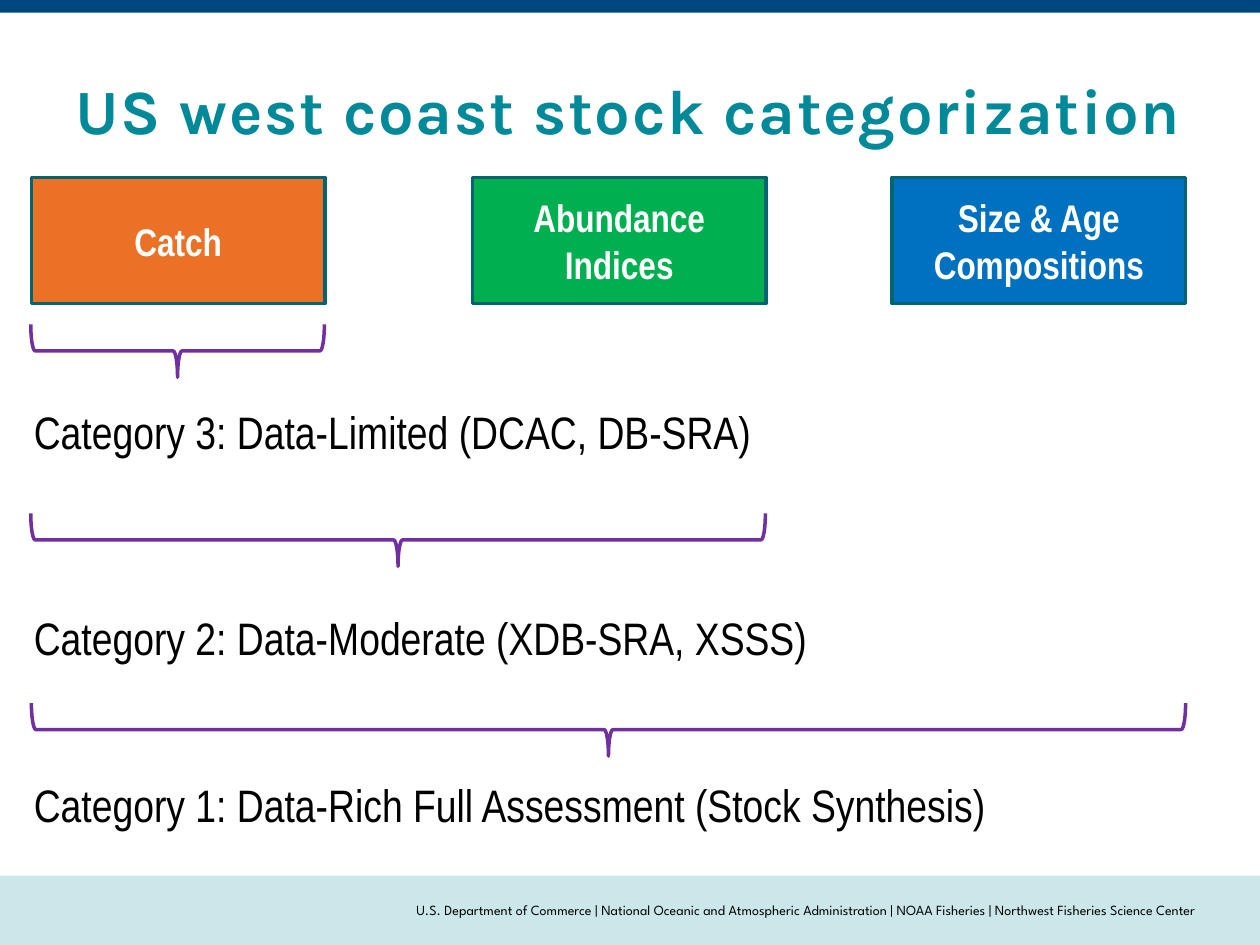
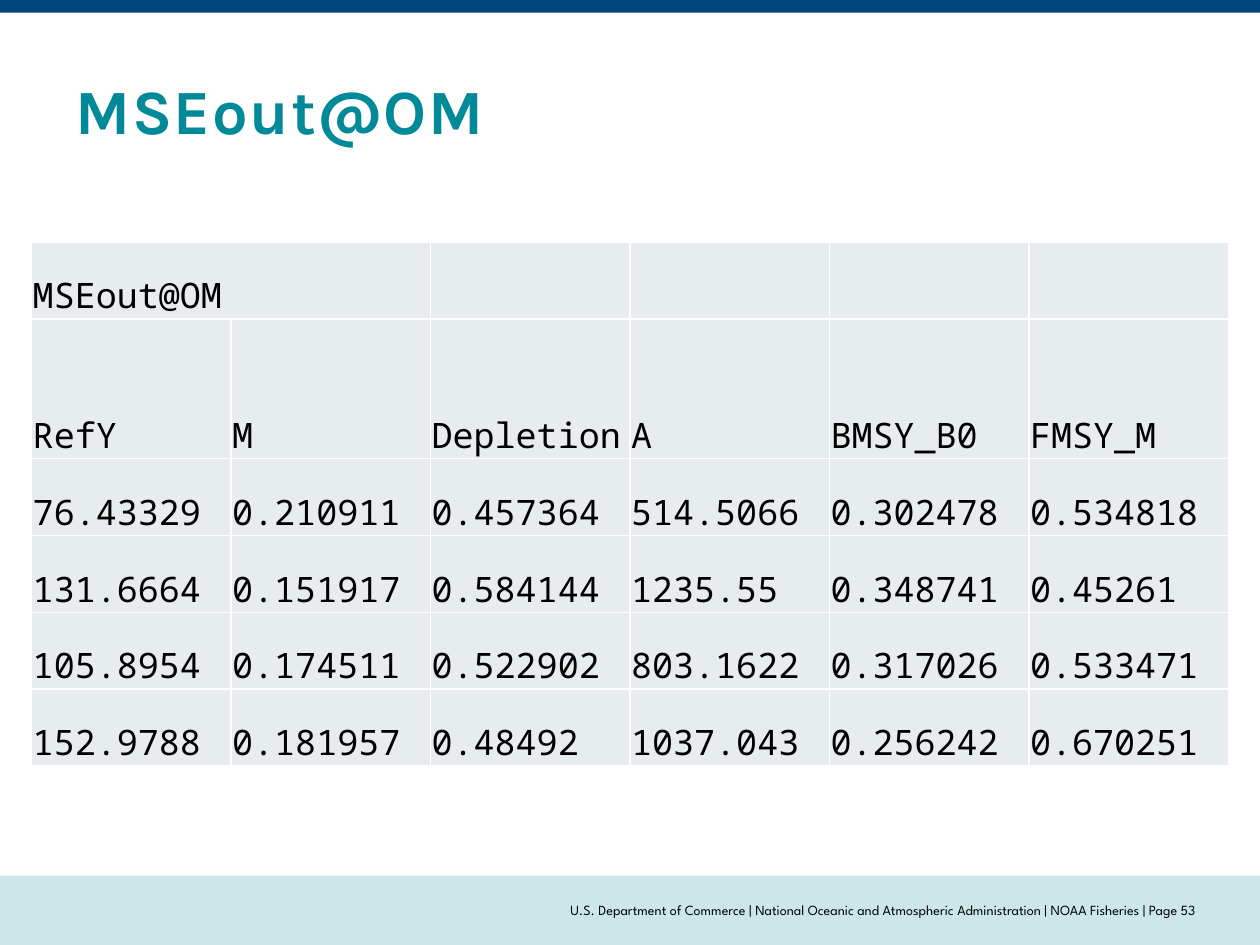
from lxml import etree
from pptx import Presentation
from pptx import util as u
from pptx.dml.color import RGBColor
from pptx.enum import shapes, text
from pptx.oxml import ns

PX = 9144  # EMU per px, 100 px to the inch
W, H = 1000, 750
MARGIN = 25
COLORS = {
    "band": "CCE7EA", "top": "00467F", "title": "008998", "text": "000000",
    "white": "FFFFFF", "outline": "006570", "brace": "7030A0", "cell": "E7EDEF",
    "catch": "EA7125", "indices": "00B050", "compositions": "0070C0",
}
TITLE_FONT, FOOTER_FONT = "Karla", "League Spartan"
BODY_FONT, CODE_FONT = "Arial Narrow", "Noto Sans Mono"
AGENCY = ["U.S. Department of Commerce",
          "National Oceanic and Atmospheric Administration", "NOAA Fisheries"]

BOX_TOP, BOX_W, BOX_H = 141, 233, 100
DATA_BOXES = [(25, "catch", "Catch"), (375, "indices", "Abundance Indices"),
              (708, "compositions", "Size & Age Compositions")]
BRACE_TOP, BRACE_STEP, BRACE_H = 258, 150, 42
CATEGORIES = [(316, "Category 3: Data-Limited (DCAC, DB-SRA)"),
              (479, "Category 2: Data-Moderate (XDB-SRA, XSSS)"),
              (612, "Category 1: Data-Rich Full Assessment (Stock Synthesis)")]

OM_ROWS = [
    ["MSEout@OM", "", "", "", "", ""],
    ["RefY", "M", "Depletion", "A", "BMSY_B0", "FMSY_M"],
    ["76.43329", "0.210911", "0.457364", "514.5066", "0.302478", "0.534818"],
    ["131.6664", "0.151917", "0.584144", "1235.55", "0.348741", "0.45261"],
    ["105.8954", "0.174511", "0.522902", "803.1622", "0.317026", "0.533471"],
    ["152.9788", "0.181957", "0.48492", "1037.043", "0.256242", "0.670251"],
]
ROW_HEIGHTS = [61, 111, 61, 61, 61, 61]


def px(*lengths):
    return [u.Emu(n * PX) for n in lengths]


def rgb(name):
    return RGBColor.from_string(COLORS[name])


def add_run(tf, words, font, size, color="text", bold=False, align=None):
    p = tf.paragraphs[0]
    p.alignment = align
    r = p.add_run()
    r.text = words
    r.font.name, r.font.size, r.font.bold = font, u.Pt(size), bold
    r.font.color.rgb = rgb(color)
    return r


def add_shape(s, kind, box, fill=None, line=None):
    sp = s.shapes.add_shape(kind, *px(*box))
    sp.shadow.inherit = False
    if fill:
        sp.fill.solid()
        sp.fill.fore_color.rgb = rgb(fill)
    else:
        sp.fill.background()
    if line:
        sp.line.color.rgb = rgb(line)
        sp.line.width = u.Pt(2)
    else:
        sp.line.fill.background()
    return sp


def add_text_frame(s, box, anchor=text.MSO_ANCHOR.TOP):
    tf = s.shapes.add_textbox(*px(*box)).text_frame
    tf.word_wrap = True
    tf.vertical_anchor = anchor
    return tf


def add_slide(prs, title, footer_end):
    """Add a slide with the shared bands, title and footer."""
    s = prs.slides.add_slide(prs.slide_layouts[6])
    rect = shapes.MSO_SHAPE.RECTANGLE
    add_shape(s, rect, (0, 695, W, 55), "band")
    add_shape(s, rect, (0, 0, W, 10), "top")
    middle = text.MSO_ANCHOR.MIDDLE
    r = add_run(add_text_frame(s, (50, 50, 900, 74), middle),
                title, TITLE_FONT, 36, "title", True)
    r.font._element.set("spc", "100")
    tf = add_text_frame(s, (250, 695, 700, 55), middle)
    tf.margin_left = tf.margin_right = 0
    add_run(tf, " | ".join(AGENCY + [footer_end]), FOOTER_FONT, 8,
            align=text.PP_ALIGN.RIGHT)
    return s


def add_data_box(s, left, fill, label):
    sp = add_shape(s, shapes.MSO_SHAPE.RECTANGLE,
                   (left, BOX_TOP, BOX_W, BOX_H), fill, "outline")
    tf = sp.text_frame
    tf.word_wrap = True
    tf.vertical_anchor = text.MSO_ANCHOR.MIDDLE
    add_run(tf, label, BODY_FONT, 22, "white", True, text.PP_ALIGN.CENTER)


def add_brace_below(s, left, top, width):
    """Turn a left brace so that it spans width and points down."""
    x = left + (width - BRACE_H) // 2
    y = top + (BRACE_H - width) // 2
    sp = add_shape(s, shapes.MSO_SHAPE.LEFT_BRACE, (x, y, BRACE_H, width),
                   line="brace")
    sp.rotation = 270


def add_cell_borders(cell):
    tc_pr = cell._tc.get_or_add_tcPr()
    for side in "LRTB":
        ln = etree.SubElement(tc_pr, ns.qn(f"a:ln{side}"), w=str(u.Pt(1)))
        fill = etree.SubElement(ln, ns.qn("a:solidFill"))
        etree.SubElement(fill, ns.qn("a:srgbClr"), val=COLORS["white"])


def fill_cell(cell, words):
    add_cell_borders(cell)
    cell.fill.solid()
    cell.fill.fore_color.rgb = rgb("cell")
    if words:
        cell.vertical_anchor = text.MSO_ANCHOR.BOTTOM
        cell.margin_left = cell.margin_right = cell.margin_top = u.Emu(PX)
        cell.margin_bottom = 0
        add_run(cell.text_frame, words, CODE_FONT, 20)


def add_om_table(s):
    box = px(MARGIN, 192, W - 2 * MARGIN, sum(ROW_HEIGHTS))
    table = s.shapes.add_table(len(OM_ROWS), len(OM_ROWS[0]), *box).table
    table.first_row = table.horz_banding = False
    for i, (row, height) in enumerate(zip(OM_ROWS, ROW_HEIGHTS)):
        table.rows[i].height = u.Emu(height * PX)
        for j, words in enumerate(row):
            fill_cell(table.cell(i, j), words)
    table.cell(0, 0).merge(table.cell(0, 1))


def build_categories(prs):
    s = add_slide(prs, "US west coast stock categorization",
                  "Northwest Fisheries Science Center")
    for box in DATA_BOXES:
        add_data_box(s, *box)
    for i, (left, _, _) in enumerate(DATA_BOXES):
        add_brace_below(s, MARGIN, BRACE_TOP + i * BRACE_STEP,
                        left + BOX_W - MARGIN)
    for top, words in CATEGORIES:
        add_run(add_text_frame(s, (17, top, 850, 54)), words, BODY_FONT, 26)


def build_om_output(prs):
    s = add_slide(prs, "MSEout@OM", "Page 53")
    add_om_table(s)


def main():
    prs = Presentation()
    prs.slide_width, prs.slide_height = px(W, H)
    build_categories(prs)
    build_om_output(prs)
    prs.save("out.pptx")


if __name__ == "__main__":
    main()
